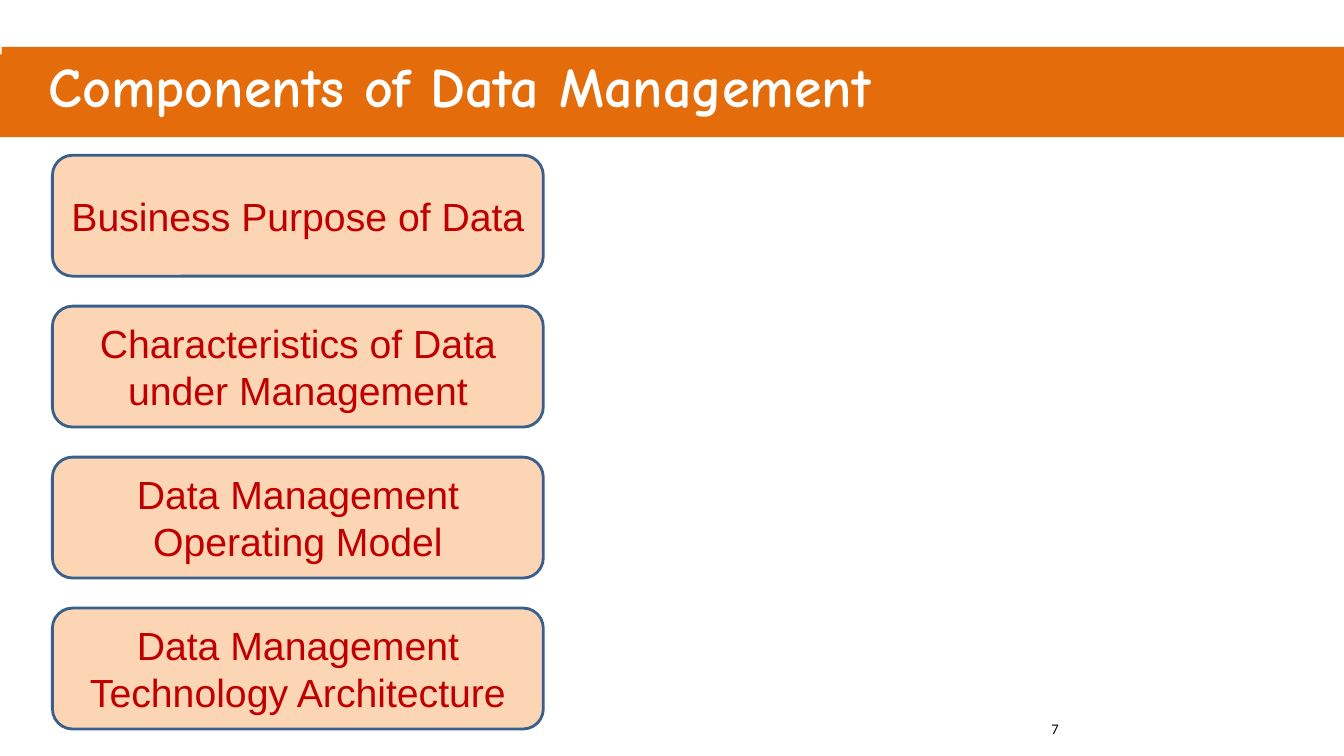
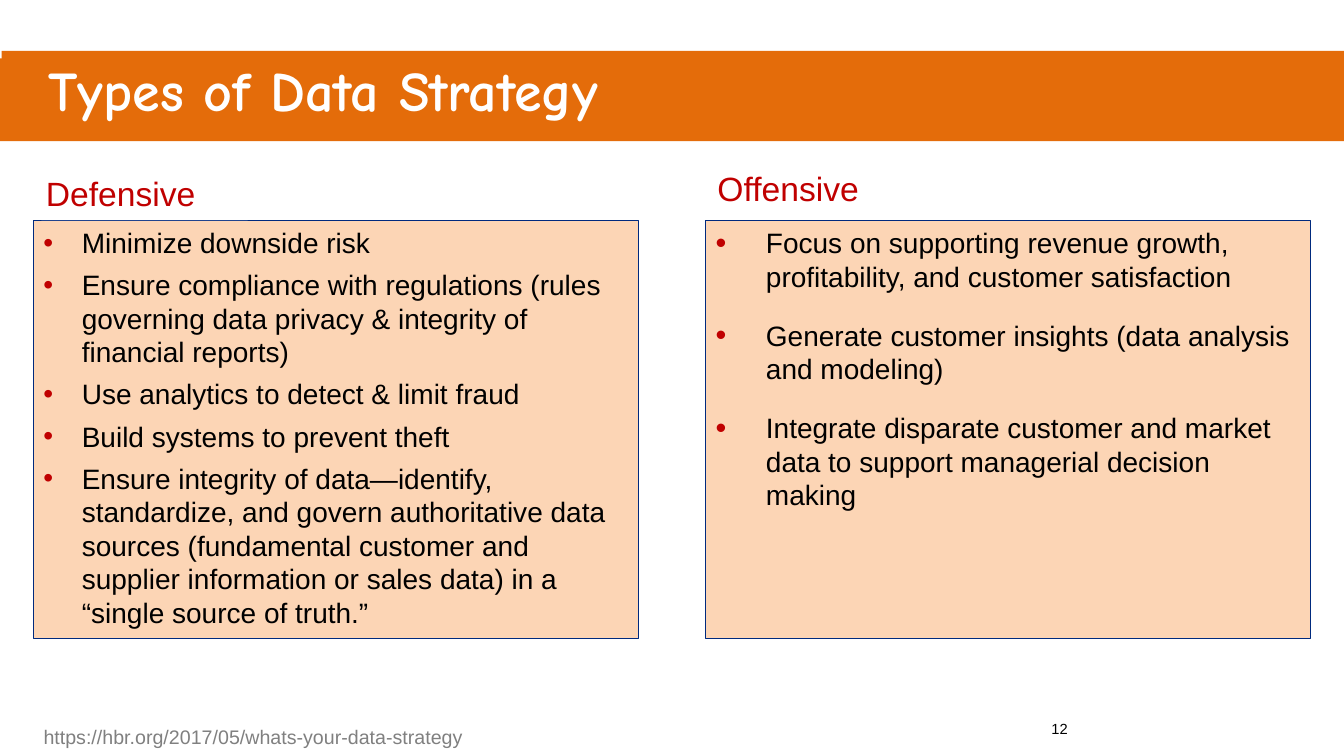
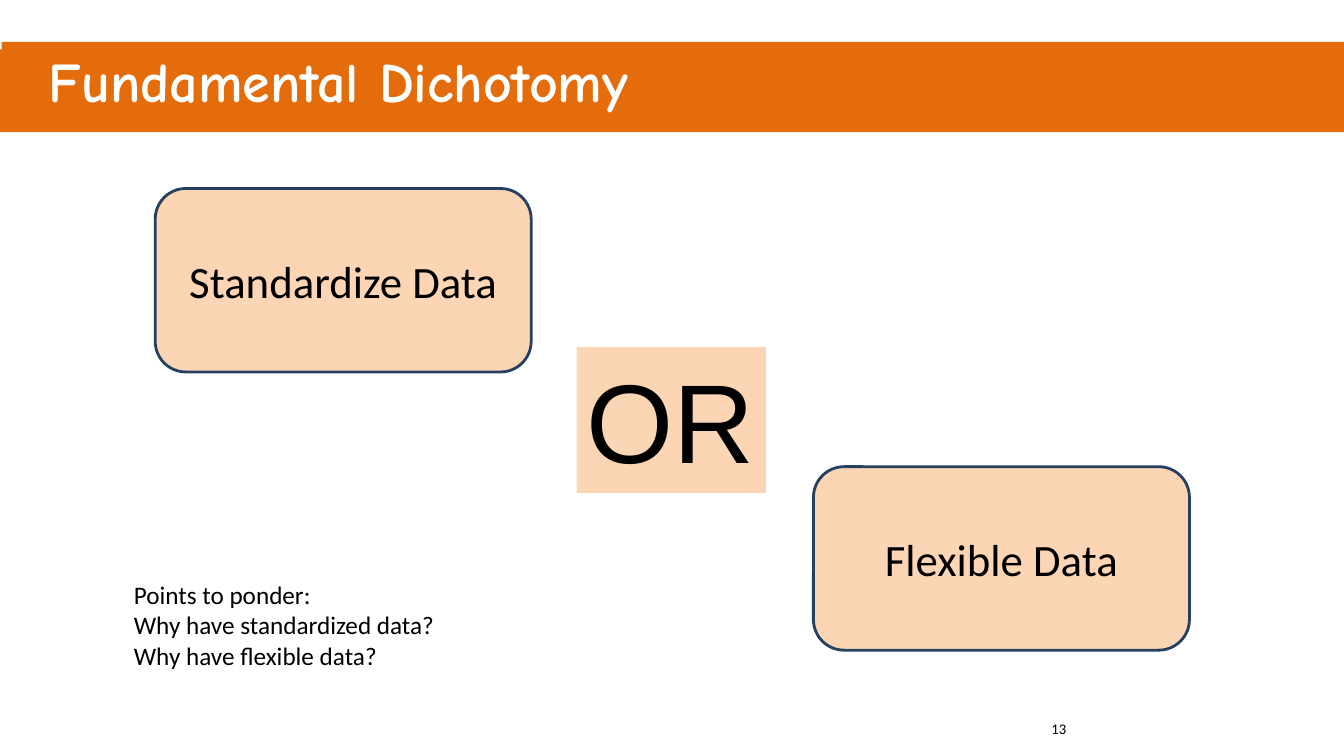
from lxml.etree import SubElement
from pptx import Presentation
from pptx.dml.color import RGBColor
from pptx.enum.shapes import MSO_SHAPE
from pptx.enum.text import MSO_ANCHOR, PP_ALIGN
from pptx.oxml.ns import qn
from pptx.util import Inches, Pt

ORANGE, PEACH, RED, WHITE, BLACK = "E46C0A", "FCD5B5", "C00000", "FFFFFF", "000000"
STEEL, NAVY, BLUE, GRAY = "3A5F8C", "254061", "002A7E", "808080"

deck = Presentation()
deck.slide_width, deck.slide_height = Inches(13.33), Inches(7.5)
COLUMN, ROW = deck.slide_width / 40, deck.slide_height / 30


def paint(color_format, color):
    if hasattr(color_format, "solid"):
        color_format.solid()
        color_format = color_format.fore_color
    color_format.rgb = RGBColor.from_string(color)


def add_box(page, at, lines=(), font="Arial", size=20, color=BLACK, preset=None, fill=None,
            line=None, width=2, align=PP_ALIGN.LEFT, anchor=MSO_ANCHOR.TOP, wrap=True):
    left, top, across, down = at
    place = [round(v) for v in (left * COLUMN, top * ROW, across * COLUMN, down * ROW)]
    if preset is None:
        box = page.shapes.add_textbox(*place)
    else:
        box = page.shapes.add_shape(preset, *place)
        box.shadow.inherit = False
        paint(box.fill, fill)
        if line:
            paint(box.line.fill, line)
            box.line.width = Pt(width)
        else:
            box.line.fill.background()
    frame = box.text_frame
    frame.word_wrap = wrap
    frame.vertical_anchor = anchor
    for number, words in enumerate(lines):
        para = frame.add_paragraph() if number else frame.paragraphs[0]
        para.alignment = align
        span = para.add_run()
        span.text = words
        span.font.name, span.font.size = font, Pt(size)
        paint(span.font.color, color)
    return box


pages = []
for title, band_top, number, number_font in [
    ("Components of Data Management", 2.16, "7", "Calibri"),
    ("Types of Data Strategy", 2.32, "12", "Arial"),
    ("Fundamental Dichotomy", 1.96, "13", "Calibri"),
]:
    page = deck.slides.add_slide(deck.slide_layouts[6])
    add_box(page, (0, band_top, 40, 3.28), preset=MSO_SHAPE.RECTANGLE, fill=ORANGE)
    title_box = add_box(page, (0.05, band_top - 0.3, 39.95, 3.08), [title], "Comic Neue", 40,
                        WHITE, MSO_SHAPE.RECTANGLE, ORANGE)
    title_box.text_frame.margin_left = round(1.4 * COLUMN)
    title_box.text_frame.paragraphs[0].runs[0].font.bold = True
    add_box(page, (31, 28.36, 9, 1.6), [number], number_font, 10.5)
    pages.append(page)

components, strategy, dichotomy = pages

for step, component in enumerate([
    "Business Purpose of Data",
    "Characteristics of Data under Management",
    "Data Management Operating Model",
    "Data Management Technology Architecture",
]):
    add_box(components, (1.56, 6.16 + 5.99 * step, 14.61, 4.8), [component], "Arial", 28, RED,
            MSO_SHAPE.ROUNDED_RECTANGLE, PEACH, STEEL,
            align=PP_ALIGN.CENTER, anchor=MSO_ANCHOR.MIDDLE)

for left, heading, heading_size, indent, before, bullet_size, points in [
    (1, "Defensive", (6.6, 2), 0.38, 0, 100, [
        "Minimize downside risk",
        "Ensure compliance with regulations (rules governing data privacy & integrity of "
        "financial reports)",
        "Use analytics to detect & limit fraud",
        "Build systems to prevent theft",
        "Ensure integrity of data—identify, standardize, and govern authoritative data sources "
        "(fundamental customer and supplier information or sales data) in a "
        "“single source of truth.”",
    ]),
    (21, "Offensive", (7.5, 1.6), 0.5, 12, 110, [
        "Focus on supporting revenue growth, profitability, and customer satisfaction",
        "Generate customer insights (data analysis and modeling)",
        "Integrate disparate customer and market data to support managerial decision making",
    ]),
]:
    panel = add_box(strategy, (left, 8.76, 18, 16.56), points, preset=MSO_SHAPE.RECTANGLE,
                    fill=PEACH, line=BLUE, width=0.75)
    for order, para in enumerate(panel.text_frame.paragraphs):
        settings = para._p.get_or_add_pPr()
        settings.set("marL", str(Inches(indent)))
        settings.set("indent", str(-Inches(indent)))
        SubElement(SubElement(settings, qn("a:buClr")), qn("a:srgbClr")).set("val", RED)
        SubElement(settings, qn("a:buSzPct")).set("val", str(bullet_size * 1000))
        SubElement(settings, qn("a:buFont")).set("typeface", "Arial")
        SubElement(settings, qn("a:buChar")).set("char", "•")
        para.space_after = Pt(6)
        if order and before:
            para.space_before = Pt(before)
    add_box(strategy, (left, 6.68, *heading_size), [heading], "Arial", 24, RED,
            MSO_SHAPE.ROUNDED_RECTANGLE, WHITE, WHITE, anchor=MSO_ANCHOR.MIDDLE)

add_box(strategy, (1, 28.56, 13.29, 1.36), ["https://hbr.org/2017/05/whats-your-data-strategy"],
        "Arial", 14, GRAY, wrap=False)

for left, top, choice in [(4.62, 7.48, "Standardize Data"), (24.21, 18.52, "Flexible Data")]:
    add_box(dichotomy, (left, top, 11.19, 7.28), [choice], "Calibri", 32, BLACK,
            MSO_SHAPE.ROUNDED_RECTANGLE, PEACH, NAVY,
            align=PP_ALIGN.CENTER, anchor=MSO_ANCHOR.MIDDLE)
add_box(dichotomy, (17.16, 13.76, 5.64, 5.8), ["OR"], "Arial", 80, BLACK,
        MSO_SHAPE.RECTANGLE, PEACH, wrap=False)
add_box(dichotomy, (3.69, 22.8, 10.08, 4.04),
        ["Points to ponder:", "Why have standardized data?", "Why have flexible data?"],
        "Calibri", 18)

deck.save("out.pptx")
